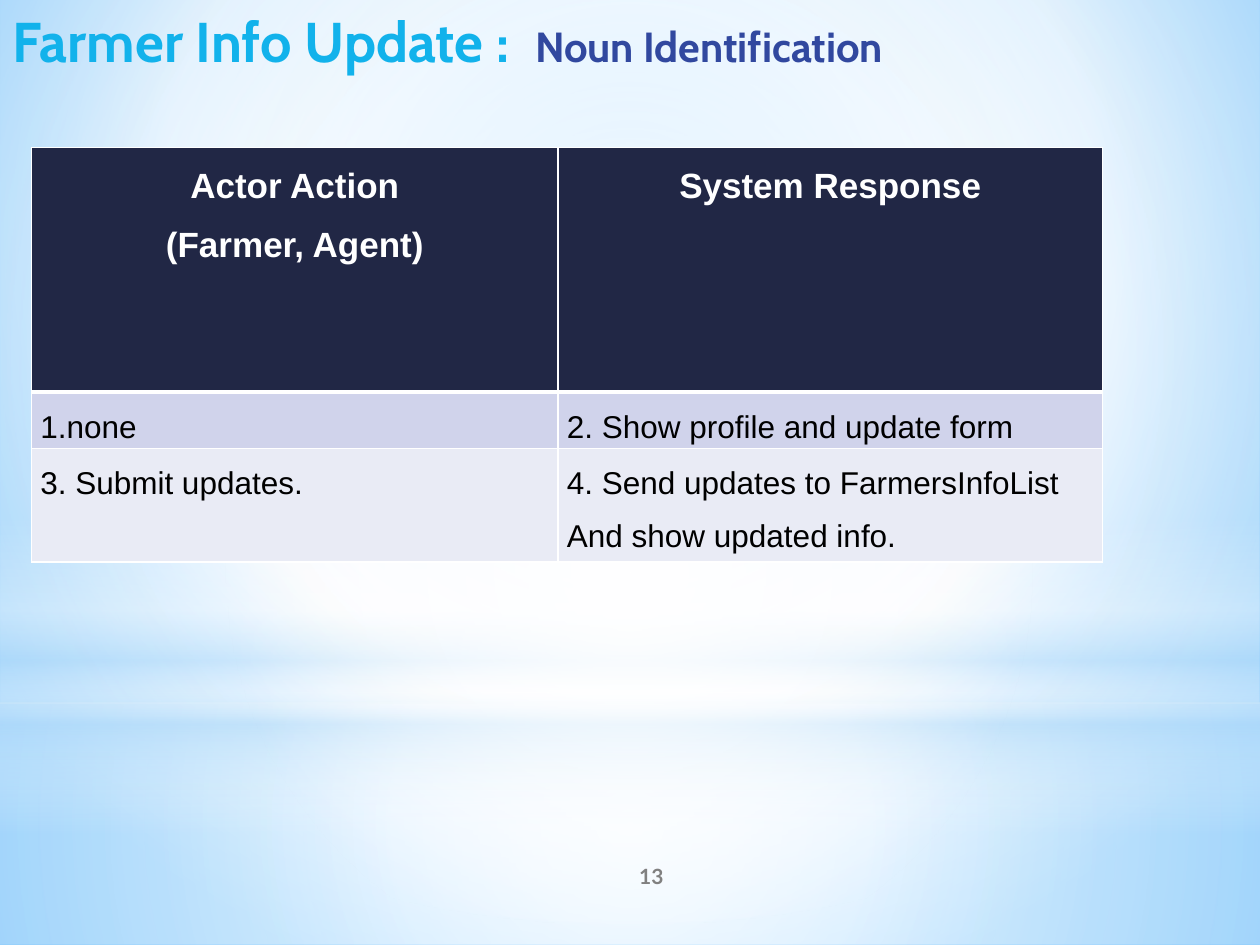
from lxml.etree import SubElement
from pptx import Presentation
from pptx.dml.color import RGBColor
from pptx.enum.shapes import MSO_SHAPE
from pptx.enum.text import MSO_ANCHOR, MSO_AUTO_SIZE, PP_ALIGN
from pptx.oxml import parse_xml
from pptx.oxml.ns import nsdecls, qn
from pptx.util import Inches, Pt

# Content
TITLE = [("Farmer Info Update :  ", 32, "12B2EB"), ("Noun Identification", 24, "31489F")]
PAGE_NUMBER = "13"
ROWS = [
    [["Actor Action", "(Farmer, Agent)"], ["System Response"]],
    [["1.none"], ["2. Show profile and update form"]],
    [["3. Submit updates."], ["4. Send updates to FarmersInfoList", "And show updated info."]],
]
ROW_FILLS = ["212745", "D0D3EB", "E9EBF5"]
COLUMN_WIDTHS = [4.18, 4.32]
ROW_HEIGHTS = [1.94, 0.4, 0.79]

# Gradients: stops are (position, colour, opacity) in percent;
# centre is the focus rectangle of a radial gradient, None means top to bottom
MIDDLE = (50, 50, 50, 50)
BACKGROUND = ([(0, "9ED5FF", 100), (60, "FFFFFF", 100), (100, "5BB9FF", 100)], (20, 10, 20, 60))
HORIZON = 5.58
LAYERS = [
    (MSO_SHAPE.RECTANGLE, HORIZON, 7.5 - HORIZON,
     [(0, "FFFFFF", 91), (37, "FFFFFF", 76), (100, "B4DCFA", 79)], MIDDLE),
    (MSO_SHAPE.RECTANGLE, 0, HORIZON,
     [(0, "FFFFFF", 89), (48, "FFFFFF", 62), (100, "B4DCFA", 79)], MIDDLE),
    (MSO_SHAPE.RECTANGLE, 4.12, 2.5,
     [(0, "FFFFFF", 0), (29, "FFFFFF", 30), (45, "B4DCFA", 40),
      (55, "FFFFFF", 26), (65, "B4DCFA", 60), (100, "FFFFFF", 0)], None),
    (MSO_SHAPE.OVAL, 1.75, HORIZON, [(0, "FFFFFF", 100), (56, "FFFFFF", 0)], MIDDLE),
]


def color(value):
    return RGBColor.from_string(value)


def set_gradient(fill, owner, stops, centre):
    fill.gradient()
    gradient = owner.xpath(".//a:gradFill")[0]
    stop_xml = "".join(
        f'<a:gs pos="{position * 1000}"><a:srgbClr val="{value}">'
        f'<a:alpha val="{opacity * 1000}"/></a:srgbClr></a:gs>'
        for position, value, opacity in stops)
    if centre:
        sides = " ".join(f'{side}="{share * 1000}"' for side, share in zip("ltrb", centre))
        direction = f'<a:path path="circle"><a:fillToRect {sides}/></a:path>'
    else:
        direction = '<a:lin ang="5400000" scaled="0"/>'
    gradient.getparent().replace(gradient, parse_xml(
        f'<a:gradFill {nsdecls("a")} rotWithShape="1">'
        f'<a:gsLst>{stop_xml}</a:gsLst>{direction}</a:gradFill>'))


def add_run(paragraph, text, size, font, value, bold):
    run = paragraph.add_run()
    run.text = text
    run.font.size = Pt(size)
    run.font.name = font
    run.font.bold = bold
    run.font.color.rgb = color(value)


def set_borders(cell, bottom_width):
    properties = cell._tc.get_or_add_tcPr()
    widths = [("lnL", 1), ("lnR", 1), ("lnT", 1), ("lnB", bottom_width)]
    for index, (tag, width) in enumerate(widths):
        line = parse_xml(
            f'<a:{tag} {nsdecls("a")} w="{Pt(width)}"><a:solidFill>'
            f'<a:srgbClr val="FFFFFF"/></a:solidFill></a:{tag}>')
        properties.insert(index, line)


def fill_cell(cell, lines, fill, header):
    cell.fill.solid()
    cell.fill.fore_color.rgb = color(fill)
    cell.margin_left = cell.margin_right = Inches(0.07)
    cell.margin_top = cell.margin_bottom = 0
    frame = cell.text_frame
    for index, text in enumerate(lines):
        paragraph = frame.add_paragraph() if index else frame.paragraphs[0]
        paragraph.line_spacing = 1.5
        paragraph.alignment = PP_ALIGN.CENTER if header else PP_ALIGN.LEFT
        add_run(paragraph, text, 20 if header else 18, "Arial",
                "FFFFFF" if header else "000000", header)


def main():
    presentation = Presentation()
    presentation.slide_width, presentation.slide_height = Inches(10), Inches(7.5)
    slide = presentation.slides.add_slide(presentation.slide_layouts[5])
    shapes = slide.shapes

    # Background and its translucent layers
    set_gradient(slide.background.fill, slide.element, *BACKGROUND)
    for kind, top, height, stops, centre in LAYERS:
        shape = shapes.add_shape(kind, 0, Inches(top), presentation.slide_width, Inches(height))
        shape.shadow.inherit = False
        shape.line.fill.background()
        set_gradient(shape.fill, shape.element, stops, centre)

    # Page number
    box = shapes.add_textbox(Inches(4.17), Inches(6.75), Inches(2), Inches(0.4))
    box.text_frame.word_wrap = True
    box.text_frame.vertical_anchor = MSO_ANCHOR.MIDDLE
    paragraph = box.text_frame.paragraphs[0]
    paragraph.alignment = PP_ALIGN.CENTER
    add_run(paragraph, PAGE_NUMBER, 12, "Lato", "808080", True)

    # Title, brought in front of the layers
    title = shapes.title
    title.left, title.top, title.width, title.height = 0, 0, Inches(8.92), Inches(0.64)
    shapes.element.append(title.element)
    frame = title.text_frame
    frame.word_wrap = True
    frame.auto_size = MSO_AUTO_SIZE.SHAPE_TO_FIT_TEXT
    frame.vertical_anchor = MSO_ANCHOR.TOP
    paragraph = frame.paragraphs[0]
    paragraph.alignment = PP_ALIGN.LEFT
    for text, size, value in TITLE:
        add_run(paragraph, text, size, "Cabin", value, True)

    # Table
    table = shapes.add_table(
        len(ROWS), len(COLUMN_WIDTHS), Inches(0.25), Inches(1.17),
        Inches(sum(COLUMN_WIDTHS)), Inches(sum(ROW_HEIGHTS))).table
    for column, width in zip(table.columns, COLUMN_WIDTHS):
        column.width = Inches(width)
    for index, (row, height) in enumerate(zip(table.rows, ROW_HEIGHTS)):
        row.height = Inches(height)
        header = index == 0
        for cell, lines in zip(row.cells, ROWS[index]):
            fill_cell(cell, lines, ROW_FILLS[index], header)
            set_borders(cell, 3 if header else 1)

    # Layers without the theme's shadow
    for shape in shapes:
        for properties in shape.element.findall(qn("p:spPr")):
            if properties.find(qn("a:effectLst")) is None and shape.shape_type is None:
                SubElement(properties, qn("a:effectLst"))

    presentation.save("out.pptx")


if __name__ == "__main__":
    main()
